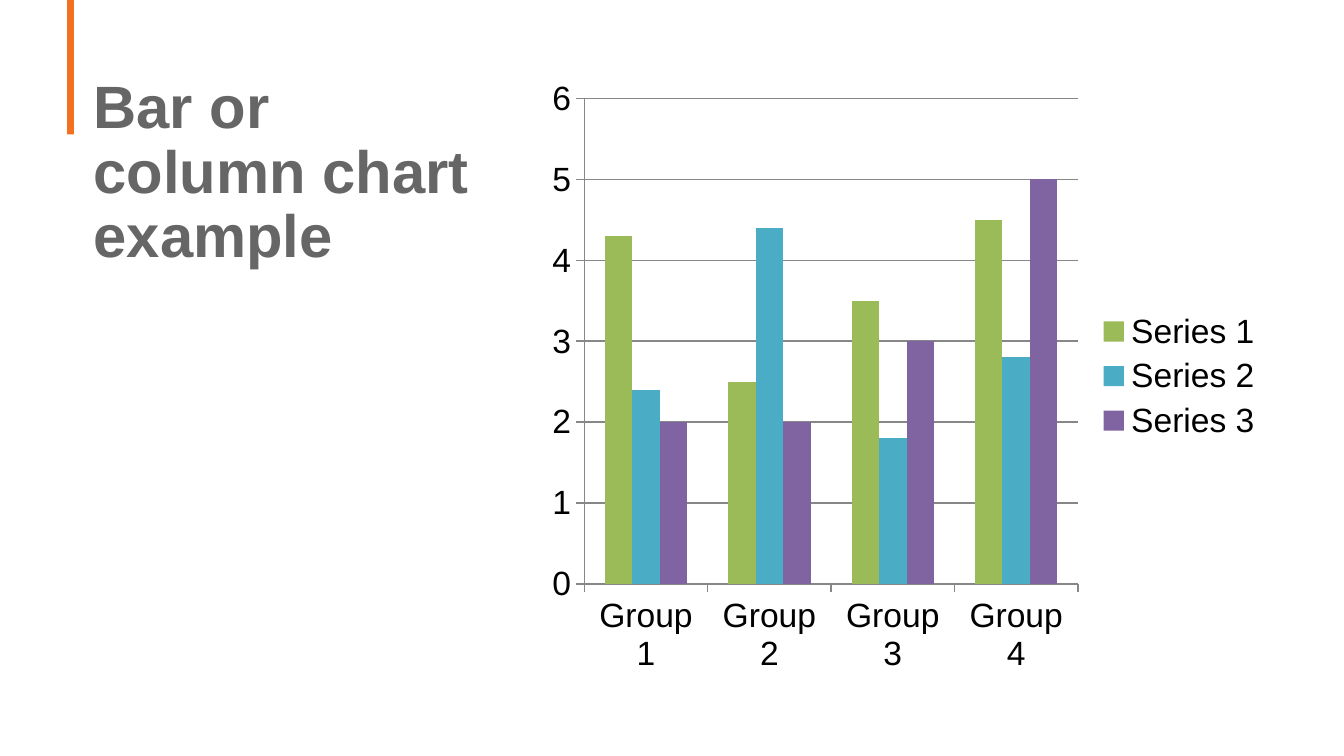
from pptx import Presentation
from pptx.chart.data import CategoryChartData
from pptx.dml.color import RGBColor
from pptx.enum.chart import XL_CHART_TYPE, XL_LEGEND_POSITION, XL_TICK_MARK
from pptx.enum.shapes import MSO_SHAPE
from pptx.util import Cm, Pt

COLUMNS = XL_CHART_TYPE.COLUMN_CLUSTERED
LEGEND_RIGHT = XL_LEGEND_POSITION.RIGHT
TICK_OUTSIDE = XL_TICK_MARK.OUTSIDE
RECTANGLE = MSO_SHAPE.RECTANGLE

FONT = "Arial"
ORANGE = RGBColor(0xF3, 0x70, 0x21)
GRAY = RGBColor(0x66, 0x66, 0x66)
AXIS_GRAY = RGBColor(0x87, 0x87, 0x87)
BLACK = RGBColor(0x00, 0x00, 0x00)
GREEN = RGBColor(0x9B, 0xBB, 0x59)
BLUE = RGBColor(0x4B, 0xAC, 0xC6)
PURPLE = RGBColor(0x80, 0x64, 0xA2)

# Content
TITLE_LINES = ["Bar or ", "column chart example"]
GROUPS = ["Group 1", "Group 2", "Group 3", "Group 4"]
SERIES = [
    ("Series 1", (4.3, 2.5, 3.5, 4.5), GREEN),
    ("Series 2", (2.4, 4.4, 1.8, 2.8), BLUE),
    ("Series 3", (2, 2, 3, 5), PURPLE),
]

presentation = Presentation()
presentation.slide_width = Cm(25.4)
presentation.slide_height = Cm(14.29)
slide = presentation.slides.add_slide(presentation.slide_layouts[6])

# Accent bar
accent = slide.shapes.add_shape(RECTANGLE, Cm(1.27), Cm(0), Cm(0.13), Cm(2.54))
accent.shadow.inherit = False
accent.fill.solid()
accent.fill.fore_color.rgb = ORANGE
accent.line.fill.background()

# Title
title = slide.shapes.add_textbox(Cm(1.52), Cm(1.27), Cm(8.38), Cm(5.08))
frame = title.text_frame
frame.word_wrap = True
frame.margin_left = frame.margin_right = Cm(0.25)
frame.margin_top = Cm(0.19)
frame.margin_bottom = Cm(0.13)
paragraph = frame.paragraphs[0]
paragraph.line_spacing = 0.9
for index, line in enumerate(TITLE_LINES):
    if index:
        paragraph.add_line_break()
    run = paragraph.add_run()
    run.text = line
    run.font.name = FONT
    run.font.size = Pt(32)
    run.font.bold = True
    run.font.color.rgb = GRAY

# Chart
chart_data = CategoryChartData()
chart_data.categories = GROUPS
for name, values, _ in SERIES:
    chart_data.add_series(name, values)
chart = slide.shapes.add_chart(
    COLUMNS, Cm(10.16), Cm(1.27), Cm(13.97), Cm(11.68), chart_data
).chart
chart.has_title = False
chart.font.name = FONT
chart.font.size = Pt(18)
chart.font.color.rgb = BLACK
chart.has_legend = True
chart.legend.position = LEGEND_RIGHT
chart.legend.include_in_layout = False

plot = chart.plots[0]
plot.gap_width = 150
plot.overlap = 0
plot.vary_by_categories = False
for series, (_, _, color) in zip(plot.series, SERIES):
    series.format.fill.solid()
    series.format.fill.fore_color.rgb = color

# Axes and gridlines
value_axis = chart.value_axis
value_axis.minimum_scale = 0
value_axis.maximum_scale = 6
value_axis.major_unit = 1
value_axis.has_major_gridlines = True
for axis in (chart.category_axis, value_axis):
    axis.major_tick_mark = TICK_OUTSIDE
for part in (chart.category_axis, value_axis, value_axis.major_gridlines):
    part.format.line.color.rgb = AXIS_GRAY
    part.format.line.width = Pt(0.75)

presentation.save("out.pptx")
